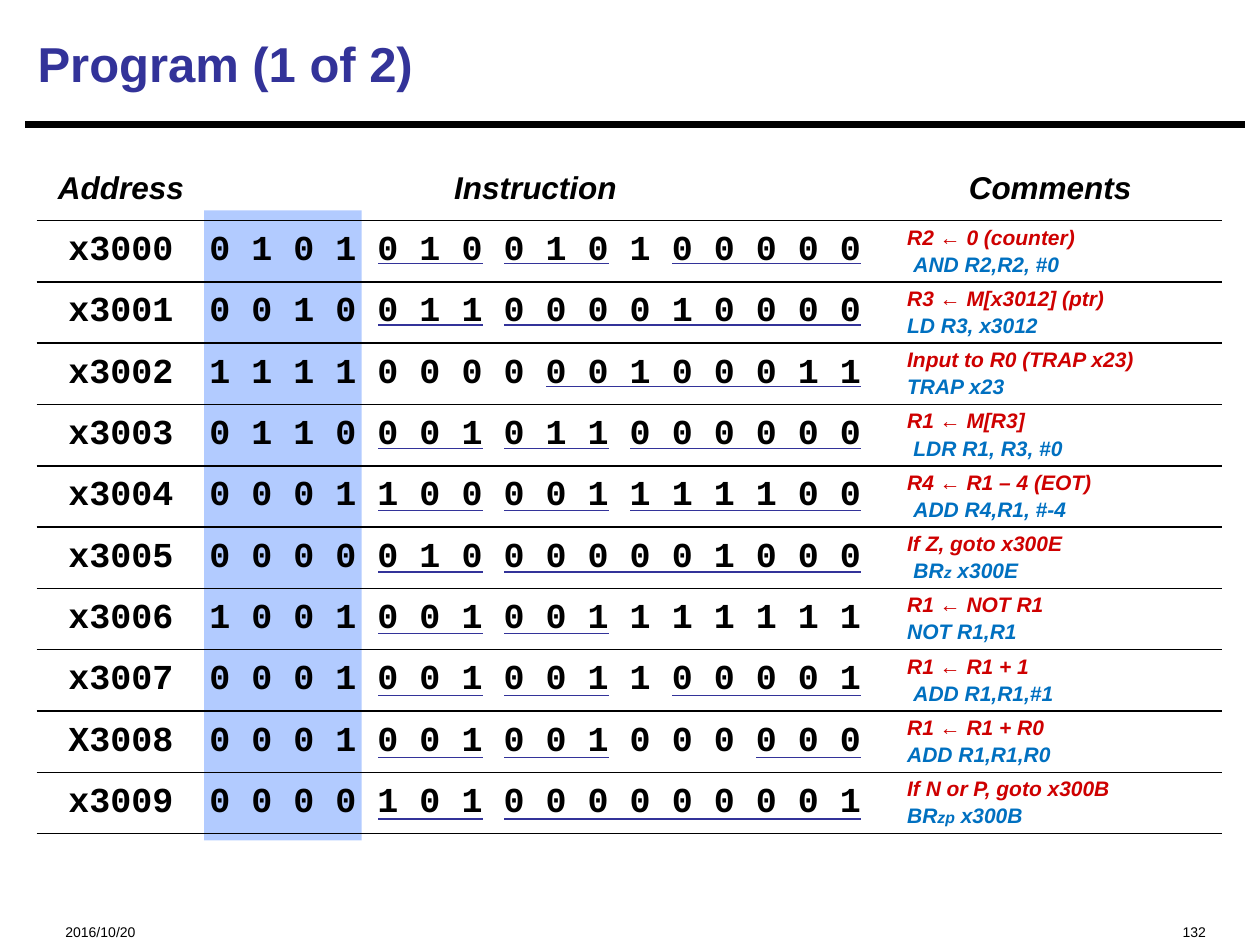
import pptx
import pptx.dml.color
import pptx.enum.shapes
import pptx.enum.text
import pptx.oxml
import pptx.oxml.ns
import pptx.util
from pptx.util import Inches

ALIGN = pptx.enum.text.PP_ALIGN
ANCHOR = pptx.enum.text.MSO_ANCHOR
BLACK, INDIGO, RED, BLUE = "000000", "333399", "CE0000", "0070C0"

HEADINGS = ["Address", "Instruction", "Comments"]
COLUMN_WIDTHS = [1.24, 5.34, 2.83]
ROW_HEIGHT = 0.487
COMMENT_INSET = 0.33
NUDGE = 0.05
BIT_PITCH, BIT_WIDTH = 1 / 3, 1 / 6
FIRST_BIT = 1.67

# Address, bits, underlined bit ranges, meaning, assembly parts
# (every second part is small), whether the assembly is nudged right
PROGRAM = [
    ("x3000", "0101010010100000", [(4, 6), (7, 9), (11, 15)],
     "R2 ← 0 (counter)", ["AND R2,R2, #0"], True),
    ("x3001", "0010011000010000", [(4, 6), (7, 15)],
     "R3 ← M[x3012] (ptr)", ["LD R3, x3012"], False),
    ("x3002", "1111000000100011", [(8, 15)],
     "Input to R0 (TRAP x23)", ["TRAP x23"], False),
    ("x3003", "0110001011000000", [(4, 6), (7, 9), (10, 15)],
     "R1 ← M[R3]", ["LDR R1, R3, #0"], True),
    ("x3004", "0001100001111100", [(4, 6), (7, 9), (10, 15)],
     "R4 ← R1 – 4 (EOT)", ["ADD R4,R1, #-4"], True),
    ("x3005", "0000010000001000", [(4, 6), (7, 15)],
     "If Z, goto x300E", ["BR", "z", " x300E"], True),
    ("x3006", "1001001001111111", [(4, 6), (7, 9)],
     "R1 ← NOT R1", ["NOT R1,R1"], False),
    ("x3007", "0001001001100001", [(4, 6), (7, 9), (11, 15)],
     "R1 ← R1 + 1", ["ADD R1,R1,#1"], True),
    ("X3008", "0001001001000000", [(4, 6), (7, 9), (13, 15)],
     "R1 ← R1 + R0", ["ADD R1,R1,R0"], False),
    ("x3009", "0000101000000001", [(4, 6), (7, 15)],
     "If N or P, goto x300B", ["BR", "zp", " x300B"], False),
]


def color(value):
    return pptx.dml.color.RGBColor.from_string(value)


def write(para, text, size=12, font="Arial", fill=BLACK, bold=True,
          italic=False, align=ALIGN.LEFT):
    para.alignment = align
    span = para.add_run()
    span.text = text
    span.font.size = pptx.util.Pt(size)
    span.font.name = font
    span.font.bold = bold
    span.font.italic = italic
    span.font.color.rgb = color(fill)


def add_text(page, box, text, anchor, bottom=0.05, **style):
    frame = page.shapes.add_textbox(*map(Inches, box)).text_frame
    frame.word_wrap = True
    frame.vertical_anchor = anchor
    frame.margin_top = frame.margin_bottom = Inches(bottom)
    write(frame.paragraphs[0], text, **style)


def add_rule(page, left, right, y, fill, width):
    rule = page.shapes.add_connector(
        pptx.enum.shapes.MSO_CONNECTOR.STRAIGHT,
        Inches(left), Inches(y), Inches(right), Inches(y))
    rule.line.color.rgb = color(fill)
    rule.line.width = pptx.util.Pt(width)
    pptx.oxml.ns.qn("a:effectLst")
    rule._element.spPr.append(pptx.oxml.parse_xml(
        f"<a:effectLst {pptx.oxml.ns.nsdecls('a')}/>"))


def add_header(page, left, top, width, height):
    add_rule(page, left, left + width, 0.99, BLACK, 3.75)
    add_text(page, (left, top, width, height), "Program (1 of 2)",
             ANCHOR.MIDDLE, size=28, fill=INDIGO)


def add_footer(page, top, height):
    style = dict(bottom=0, size=8, bold=False)
    add_text(page, (0.42, top, 2.5, height), "2016/10/20", ANCHOR.BOTTOM, **style)
    add_text(page, (6.67, top, 3, height), "132", ANCHOR.BOTTOM,
             align=ALIGN.RIGHT, **style)


def add_opcode_band(page, left, top, width, height):
    band = page.shapes.add_shape(
        pptx.enum.shapes.MSO_SHAPE.RECTANGLE,
        *map(Inches, (left, top, width, height)))
    band.shadow.inherit = False
    band.line.fill.background()
    band.fill.solid()
    band.fill.fore_color.rgb = color("6699FF")
    fill = band._element.spPr.find(".//" + pptx.oxml.ns.qn("a:srgbClr"))
    fill.append(pptx.oxml.parse_xml(
        f"<a:alpha {pptx.oxml.ns.nsdecls('a')} val='50000'/>"))


def format_cell(cell, is_heading):
    """Leave the cell clear, with a rule below it and above any body cell."""
    cell.vertical_anchor = ANCHOR.MIDDLE
    cell.margin_left, cell.margin_right = Inches(0.1), 0
    cell.margin_top = cell.margin_bottom = Inches(0.1 if is_heading else 0)
    cell.fill.background()
    ruled = {"lnB"} if is_heading else {"lnT", "lnB"}
    for position, side in enumerate(["lnL", "lnR", "lnT", "lnB"]):
        paint = (f"<a:solidFill><a:srgbClr val='{BLACK}'/></a:solidFill>"
                 if side in ruled else "<a:noFill/>")
        border = pptx.oxml.parse_xml(
            f"<a:{side} {pptx.oxml.ns.nsdecls('a')} w='12700'>{paint}</a:{side}>")
        cell._tc.get_or_add_tcPr().insert(position, border)


def write_comment(cell, meaning, assembly, nudged):
    cell.margin_left = Inches(COMMENT_INSET)
    frame = cell.text_frame
    write(frame.paragraphs[0], meaning, fill=RED, italic=True)
    para = frame.add_paragraph()
    para.space_before = pptx.util.Pt(2)
    if nudged:
        para._p.get_or_add_pPr().set("marL", str(Inches(NUDGE)))
    for index, part in enumerate(assembly):
        write(para, part, size=9 if index % 2 else 12, fill=BLUE, italic=True)


def add_program_table(page, left, top):
    row_count = len(PROGRAM) + 1
    table = page.shapes.add_table(
        row_count, len(HEADINGS), Inches(left), Inches(top),
        Inches(sum(COLUMN_WIDTHS)), Inches(ROW_HEIGHT * row_count)).table
    table.first_row = table.horz_banding = False
    for column, width in zip(table.columns, COLUMN_WIDTHS):
        column.width = Inches(width)
    for number, row in enumerate(table.rows):
        row.height = Inches(ROW_HEIGHT)
        for cell in row.cells:
            format_cell(cell, number == 0)
    for cell, heading in zip(table.rows[0].cells, HEADINGS):
        write(cell.text_frame.paragraphs[0], heading, size=18, italic=True,
              align=ALIGN.CENTER)
    for number, (address, bits, _, *comment) in enumerate(PROGRAM, 1):
        for column, text in enumerate([address, " ".join(bits)]):
            write(table.cell(number, column).text_frame.paragraphs[0], text,
                  size=20, font="Courier New", align=ALIGN.CENTER)
        write_comment(table.cell(number, 2), *comment)


def add_field_underlines(page, left, top, pitch):
    for number, entry in enumerate(PROGRAM):
        for first, last in entry[2]:
            add_rule(page, left + first * BIT_PITCH,
                     left + last * BIT_PITCH + BIT_WIDTH,
                     top + number * pitch, INDIGO, 0.75)


def main():
    deck = pptx.Presentation()
    deck.slide_width, deck.slide_height = Inches(10), Inches(7.5)
    page = deck.slides.add_slide(deck.slide_layouts[6])
    add_header(page, 0.2, 0.08, 9.68, 0.84)
    add_footer(page, 7.15, 0.31)
    add_opcode_band(page, 1.62, 1.67, 1.25, 5)
    add_program_table(page, 0.29, 1.25)
    add_field_underlines(page, FIRST_BIT, 2.09, 0.49)
    deck.save("out.pptx")


if __name__ == "__main__":
    main()
